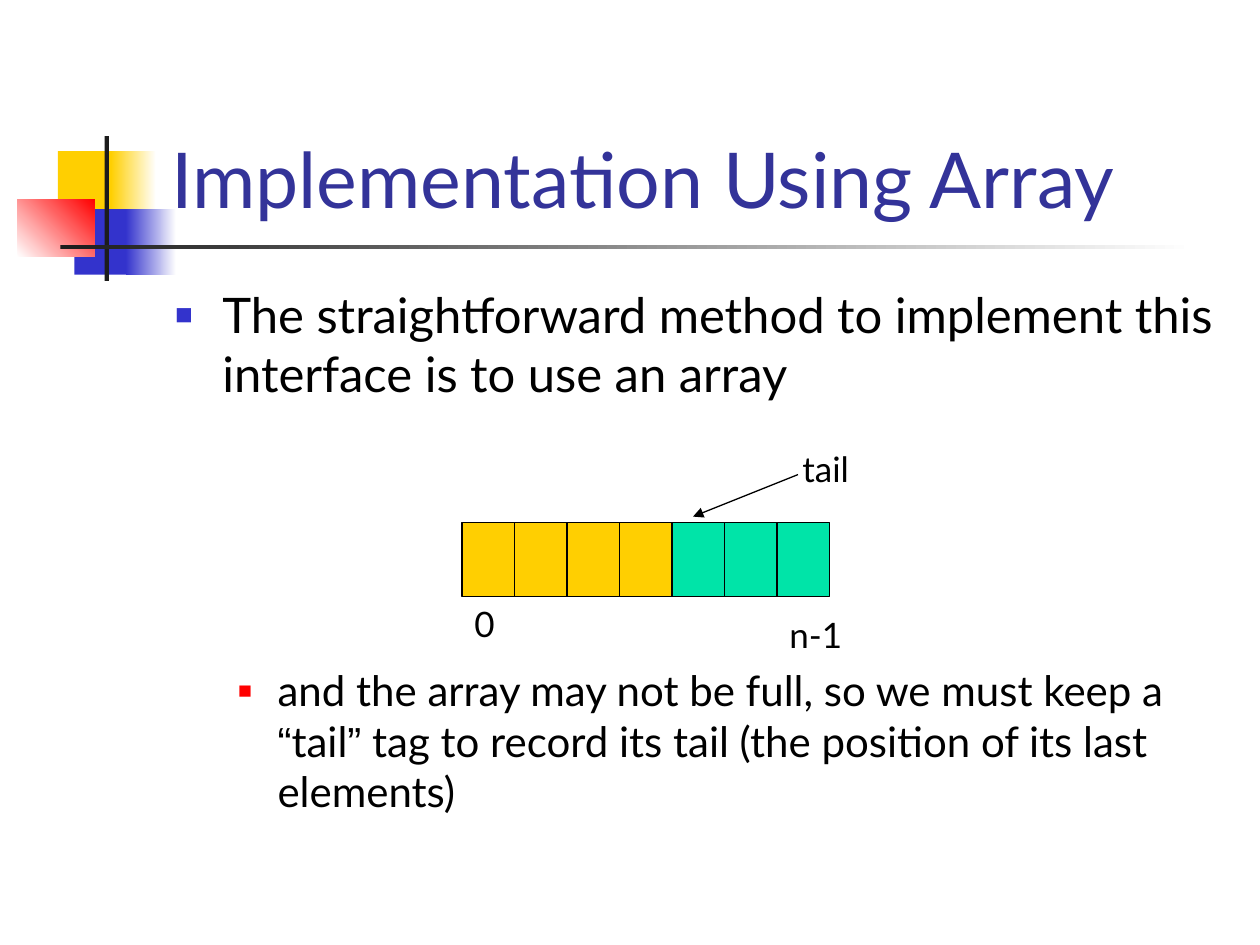
"""Build the slide on implementing an interface with an array."""
from lxml import etree
from pptx import Presentation
from pptx.dml.color import RGBColor
from pptx.enum.shapes import MSO_CONNECTOR, MSO_SHAPE
from pptx.enum.text import MSO_ANCHOR, MSO_AUTO_SIZE, PP_ALIGN
from pptx.oxml.ns import qn
from pptx.util import Pt

RECT, STRAIGHT = MSO_SHAPE.RECTANGLE, MSO_CONNECTOR.STRAIGHT
LEFT, TOP, BOTTOM = PP_ALIGN.LEFT, MSO_ANCHOR.TOP, MSO_ANCHOR.BOTTOM
NO_FIT = MSO_AUTO_SIZE.NONE

THEME = {
    "font": "Lato", "quote_font": "Arial",
    "title": "333399", "text": "000000", "line": "000000", "white": "FFFFFF",
    "yellow": "FFCF01", "blue": "3333CC", "red": "FF0000", "dark": "1C1C1C",
    "green": "00E4A8",
    "title_size": 44, "body_size": 28, "sub_size": 24, "label_size": 20,
}

TITLE = "Implementation Using Array"
TITLE_BOX = (90.72, 16.56, 613.44, 115.2)
BODY_BOX = (92.88, 159.12, 612, 324)
BODY = [
    {"runs": [("The straightforward method to implement this interface is to use an array", "font")],
     "level": 0, "size": "body_size", "before": 0, "indent": (27, -27),
     "bullet": ("blue", 60)},
    {"runs": [("and the array may not be full, so we must keep a ", "font"),
              ("\u201c", "quote_font"), ("tail", "font"), ("\u201d", "quote_font"),
              (" tag to record its tail (the position of its last elements)", "font")],
     "level": 1, "size": "sub_size", "before": 150, "indent": (58.5, -22.5),
     "bullet": ("red", 55)},
]

ORNAMENT = [
    ((33.12, 86.4, 34.56, 37.44), ("yellow",), 0),
    ((63.36, 86.4, 25.92, 37.44), ("yellow", "white"), 0),
    ((42.48, 119.52, 33.12, 37.44), ("blue",), 0),
    ((72, 119.52, 28.8, 37.44), ("blue", "white"), 0),
    ((10.08, 113.76, 43.92, 33.12), ("white", "red"), 45),
    ((59.76, 77.76, 2.5, 82.8), ("dark",), 0),
    ((34.56, 140.04, 648, 2.5), ("dark", "white"), 0),
]

CELLS = ["yellow"] * 4 + ["green"] * 3
ARRAY_LEFT, ARRAY_TOP, CELL_W, CELL_H = 264, 298.8, 30, 42
LABELS = [
    ("0", (264, 340.56, 24, 31)),
    ("n-1", (444, 347.04, 54, 31)),
    ("tail", (451.44, 252, 64.8, 31)),
]
TAIL_ARROW = (456, 271.2, 396, 295.2)


def rgb(name):
    return RGBColor.from_string(THEME[name])


def points(box):
    return [Pt(v) for v in box]


def place(sp, box):
    for name, value in zip(("left", "top", "width", "height"), points(box)):
        setattr(sp, name, value)


def add_rect(s, box, colors, angle=0, outlined=False):
    sp = s.shapes.add_shape(RECT, *points(box))
    sp.shadow.inherit = False
    if len(colors) == 1:
        sp.fill.solid()
        sp.fill.fore_color.rgb = rgb(colors[0])
    else:
        sp.fill.gradient()
        sp.fill.gradient_angle = angle
        for stop, color in zip(sp.fill.gradient_stops, colors):
            stop.color.rgb = rgb(color)
    if outlined:
        sp.line.color.rgb = rgb("line")
        sp.line.width = Pt(0.75)
    else:
        sp.line.fill.background()


def add_run(p, text, size, color="text", font="font"):
    r = p.add_run()
    r.text = text
    values = {"name": THEME[font], "size": Pt(THEME[size])}
    for name, value in values.items():
        setattr(r.font, name, value)
    r.font.color.rgb = rgb(color)


def set_frame(tf, anchor):
    values = {"word_wrap": True, "auto_size": NO_FIT, "vertical_anchor": anchor}
    for name, value in values.items():
        setattr(tf, name, value)


def set_bullet(p, color, percent, indent):
    pPr = p._p.get_or_add_pPr()
    for name, value in zip(("marL", "indent"), points(indent)):
        pPr.set(name, str(int(value)))
    clr = etree.SubElement(pPr, qn("a:buClr"))
    etree.SubElement(clr, qn("a:srgbClr"), val=THEME[color])
    etree.SubElement(pPr, qn("a:buSzPct"), val=str(percent * 1000))
    etree.SubElement(pPr, qn("a:buFont"), typeface="Arial")
    etree.SubElement(pPr, qn("a:buChar"), char="\u25a0")


def fill_title(sp):
    place(sp, TITLE_BOX)
    set_frame(sp.text_frame, BOTTOM)
    p = sp.text_frame.paragraphs[0]
    p.alignment = LEFT
    add_run(p, TITLE, "title_size", "title")


def fill_body(sp):
    place(sp, BODY_BOX)
    tf = sp.text_frame
    set_frame(tf, TOP)
    for i, item in enumerate(BODY):
        p = tf.add_paragraph() if i else tf.paragraphs[0]
        p.level = item["level"]
        p.space_before = Pt(item["before"])
        set_bullet(p, *item["bullet"], item["indent"])
        for text, font in item["runs"]:
            add_run(p, text, item["size"], font=font)


def add_label(s, text, box):
    tf = s.shapes.add_textbox(*points(box)).text_frame
    set_frame(tf, TOP)
    add_run(tf.paragraphs[0], text, "label_size")


def add_arrow(s, ends):
    line = s.shapes.add_connector(STRAIGHT, *points(ends))
    line.line.color.rgb = rgb("line")
    line.line.width = Pt(0.75)
    etree.SubElement(line.line._get_or_add_ln(), qn("a:tailEnd"), type="triangle")
    etree.SubElement(line._element.spPr, qn("a:effectLst"))


def main():
    prs = Presentation()
    prs.slide_width, prs.slide_height = Pt(720), Pt(540)
    s = prs.slides.add_slide(prs.slide_layouts[1])
    title, body = s.shapes.title, s.placeholders[1]
    for box, colors, angle in ORNAMENT:
        add_rect(s, box, colors, angle)
    fill_title(title)
    fill_body(body)
    for sp in (title, body):
        s.shapes.element.append(sp.element)
    for i, color in enumerate(CELLS):
        add_rect(s, (ARRAY_LEFT + i * CELL_W, ARRAY_TOP, CELL_W, CELL_H), (color,), outlined=True)
    for text, box in LABELS:
        add_label(s, text, box)
    add_arrow(s, TAIL_ARROW)
    prs.save("out.pptx")


main()
